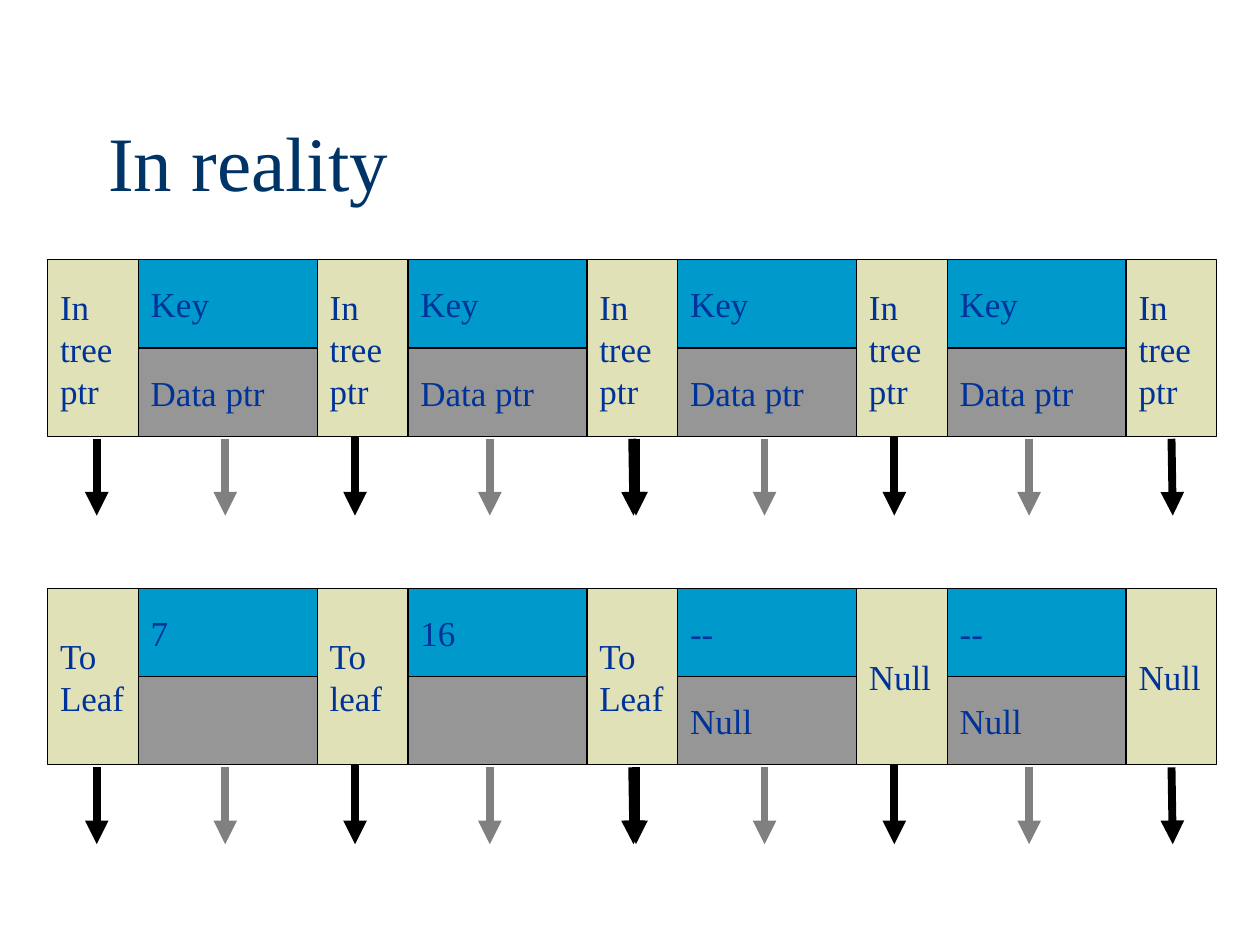
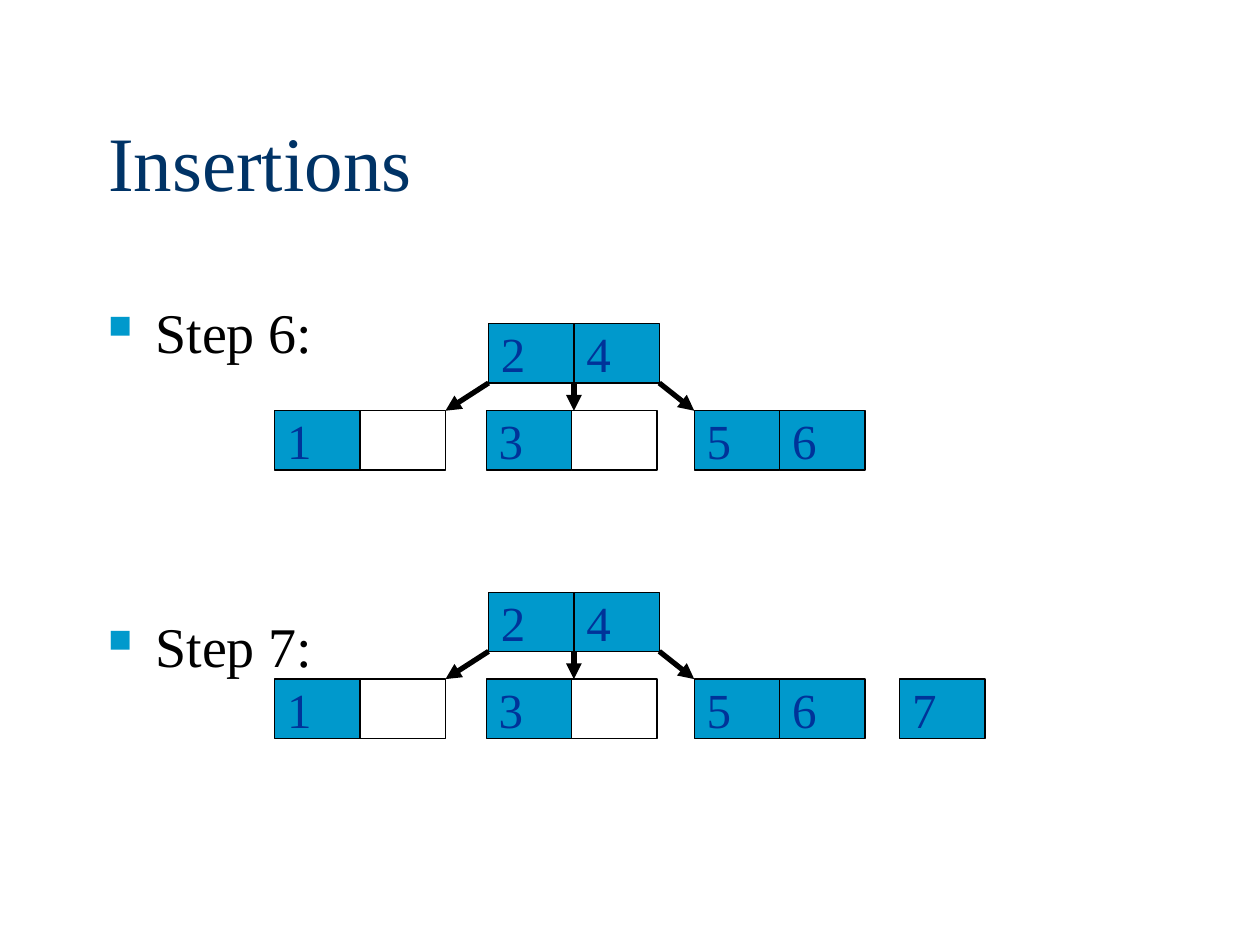
from lxml.etree import SubElement
from pptx import Presentation
from pptx.dml.color import RGBColor
from pptx.enum.shapes import MSO_CONNECTOR, MSO_SHAPE
from pptx.enum.text import MSO_ANCHOR, PP_ALIGN
from pptx.oxml.ns import qn
from pptx.util import Pt

COLORS = {
    "title": "003366", "label": "003399", "body": "000000", "line": "000000",
    "key": "0099CC", "data": "969696", "pointer": "E1E1B7",
    "data_arrow": "808080", "free": "FFFFFF",
}
FONT = "Times New Roman"

# Sizes within a detailed tree node
POINTER_WIDTH, KEY_WIDTH, HALF_HEIGHT = 51.84, 102.24, 50.4
PAIR_WIDTH = POINTER_WIDTH + KEY_WIDTH
ARROW_END = 45.36
# Offset, start below the node, sideways drift and colour of each arrow
ARROWS = [
    (28.08, 1.44, 0, "line"), (101.52, 1.44, 0, "data_arrow"),
    (175.68, 0, 0, "line"), (252.72, 1.44, 0, "data_arrow"),
    (334.08, 1.44, 0.72, "line"),
]

# Sizes within a small tree
CELL_WIDTH, CELL_HEIGHT = 48.8, 33.84
ROOT_LEFT, LEAF_TOP = 122.2, 49.68
LEAVES = [(0, ["1", ""]), (120.96, ["3", ""]), (239.76, ["5", "6"])]


def rgb(name):
    return RGBColor.from_string(COLORS[name])


def write(shape, text, size=20, color="label", anchor=MSO_ANCHOR.MIDDLE,
          wrap=False, gap=0, bullet=False):
    """Newlines start paragraphs; vertical tabs break lines."""
    frame = shape.text_frame
    frame.word_wrap = wrap
    frame.vertical_anchor = anchor
    for index, line in enumerate(text.split("\n")):
        para = frame.add_paragraph() if index else frame.paragraphs[0]
        para.text = line
        para.alignment = PP_ALIGN.LEFT
        para.space_before = Pt(gap if index else 0)
        if bullet:
            add_bullet(para)
        for span in para.runs:
            span.font.name = FONT
            span.font.size = Pt(size)
            span.font.color.rgb = rgb(color)


def add_bullet(para):
    props = para._p.get_or_add_pPr()
    props.set("marL", str(Pt(27)))
    props.set("indent", str(Pt(-27)))
    tint = SubElement(props, qn("a:buClr"))
    SubElement(tint, qn("a:srgbClr"), val=COLORS["key"])
    SubElement(props, qn("a:buSzPct"), val="58000")
    SubElement(props, qn("a:buChar"), char="■")


def add_text(page, left, top, width, height, text, **style):
    box = page.shapes.add_textbox(Pt(left), Pt(top), Pt(width), Pt(height))
    write(box, text, wrap=True, **style)


def add_cell(shapes, left, top, width, height, text, fill, size=20):
    cell = shapes.add_shape(MSO_SHAPE.RECTANGLE,
                            Pt(left), Pt(top), Pt(width), Pt(height))
    cell.shadow.inherit = False
    cell.fill.solid()
    cell.fill.fore_color.rgb = rgb(fill)
    cell.line.color.rgb = rgb("line")
    cell.line.width = Pt(0.75)
    if text:
        write(cell, text, size=size)


def add_arrow(shapes, start, end, width, color="line"):
    arrow = shapes.add_connector(MSO_CONNECTOR.STRAIGHT,
                                 *(Pt(value) for value in start + end))
    arrow.line.color.rgb = rgb(color)
    arrow.line.width = Pt(width)
    SubElement(arrow.line._get_or_add_ln(), qn("a:tailEnd"), type="triangle")
    SubElement(arrow._element.spPr, qn("a:effectLst"))


def add_page(deck, title):
    page = deck.slides.add_slide(deck.slide_layouts[6])
    add_text(page, 54.72, 46.8, 612, 90, title, size=44, color="title")
    return page


def add_detailed_node(page, left, top, pointers, keys, data):
    shapes = page.shapes.add_group_shape().shapes
    # Tree pointers alternate with key and data pairs
    for index, text in enumerate(pointers):
        add_cell(shapes, left + index * PAIR_WIDTH, top,
                 POINTER_WIDTH, 2 * HALF_HEIGHT, text, "pointer")
    for index, pair in enumerate(zip(keys, data)):
        pair_left = left + POINTER_WIDTH + index * PAIR_WIDTH
        for row, (text, fill) in enumerate(zip(pair, ("key", "data"))):
            add_cell(shapes, pair_left, top + row * HALF_HEIGHT,
                     KEY_WIDTH, HALF_HEIGHT, text, fill)
    # The same five arrows hang under each half
    bottom = top + 2 * HALF_HEIGHT
    for half_left in (left, left + 2 * PAIR_WIDTH):
        for offset, gap, drift, color in ARROWS:
            x = half_left + offset
            add_arrow(shapes, (x, bottom + gap),
                      (x + drift, bottom + ARROW_END), 4.5, color)


def add_small_node(shapes, left, top, keys):
    for index, key in enumerate(keys):
        add_cell(shapes, left + index * CELL_WIDTH, top, CELL_WIDTH,
                 CELL_HEIGHT, key, "key" if key else "free", size=28)


def add_small_tree(page, left, top):
    shapes = page.shapes.add_group_shape().shapes
    root, leaf_top = left + ROOT_LEFT, top + LEAF_TOP
    add_small_node(shapes, root, top, ["2", "4"])
    for offset, keys in LEAVES:
        add_small_node(shapes, left + offset, leaf_top, keys)
    # Arrows from the root's corners and middle to the leaves
    middle = root + CELL_WIDTH
    targets = [left + 2 * CELL_WIDTH, middle, left + LEAVES[2][0]]
    for index, target in enumerate(targets):
        add_arrow(shapes, (root + index * CELL_WIDTH, top + CELL_HEIGHT),
                  (target, leaf_top), 3)


def build_reality(deck):
    page = add_page(deck, "In reality")
    add_detailed_node(page, 27.2, 148.5, ["In\vtree\vptr"] * 5,
                      ["Key"] * 4, ["Data ptr"] * 4)
    add_detailed_node(page, 27.2, 336.24,
                      ["To\nLeaf", "To\vleaf", "To\nLeaf", "Null", "Null"],
                      ["7", "16", "--", "--"], ["", "", "Null", "Null"])


def build_insertions(deck):
    page = add_page(deck, "Insertions")
    add_text(page, 54.72, 166.3, 612, 324, "Step 6:\nStep 7:", size=32,
             color="body", anchor=MSO_ANCHOR.TOP, gap=141, bullet=True)
    tree_left, last_top = 156.96, 338.4
    for top in (185.04, last_top):
        add_small_tree(page, tree_left, top)
    # The new key has no place yet
    add_small_node(page.shapes, tree_left + 357.12, last_top + LEAF_TOP, ["7"])


def main():
    deck = Presentation()
    deck.slide_width, deck.slide_height = Pt(720), Pt(540)
    build_reality(deck)
    build_insertions(deck)
    deck.save("out.pptx")


if __name__ == "__main__":
    main()
